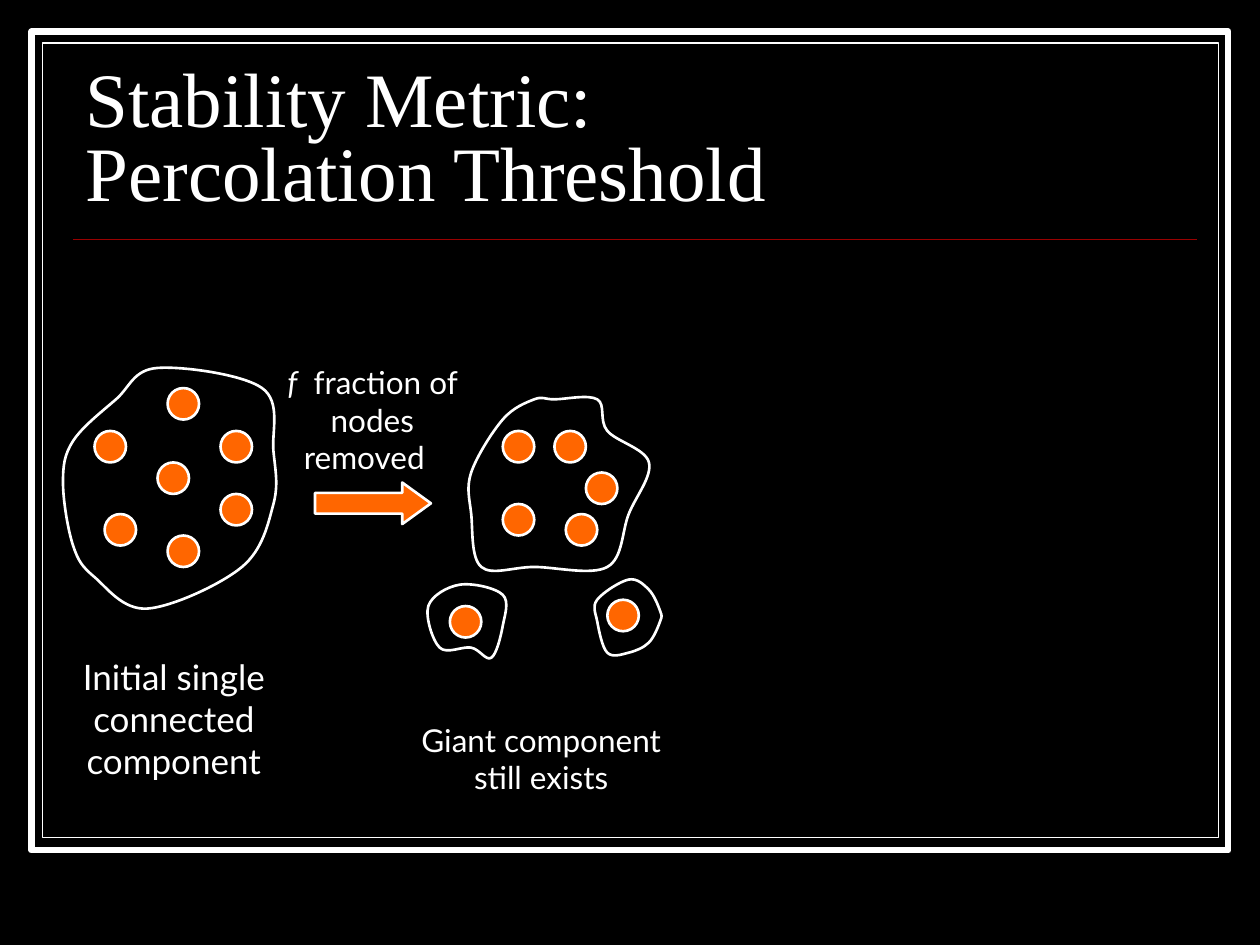
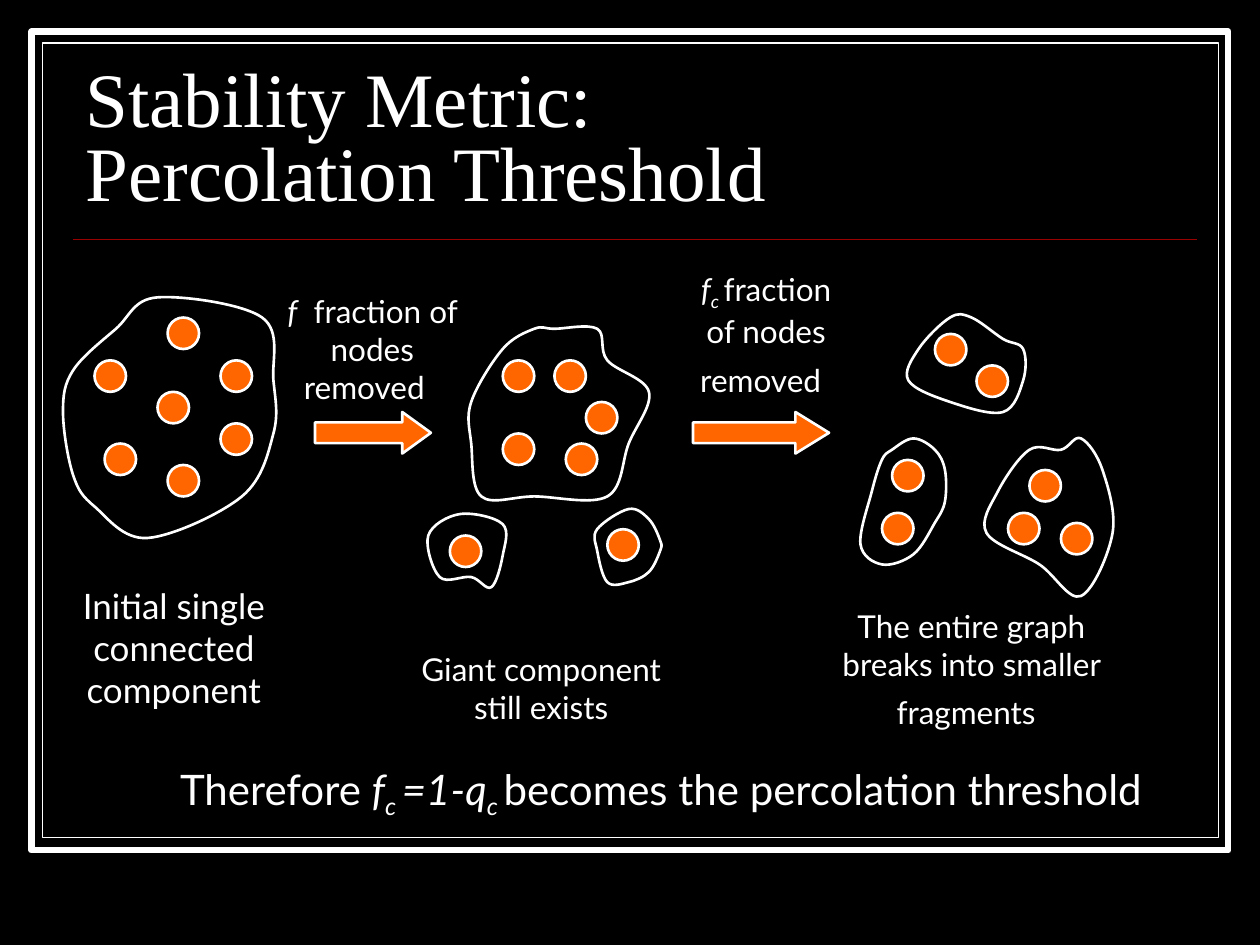
import pptx
import pptx.dml.color
import pptx.enum.shapes
import pptx.enum.text
import pptx.oxml
import pptx.oxml.ns
import pptx.util

SHAPE = pptx.enum.shapes.MSO_SHAPE
ALIGN = pptx.enum.text.PP_ALIGN
FIT = pptx.enum.text.MSO_AUTO_SIZE
PX = 9144  # 100 px to the inch

BLACK, WHITE, ORANGE, RED = "000000", "FFFFFF", "FF6600", "990000"
TITLE_FONT, BODY_FONT = "Times New Roman", "Lato"
NODE = 25
TITLE = "Stability Metric:\nPercolation Threshold"

# Each component: outline anchors, then top left corners of its nodes
INITIAL = [
    ([(92, 261), (58, 294), (50, 327), (58, 377), (75, 402), (117, 427),
      (192, 394), (217, 344), (217, 302), (208, 252), (125, 236)],
     [(175, 286), (175, 336), (133, 252), (75, 286), (133, 369), (83, 352),
      (125, 311)]),
]
GIANT = [
    ([(440, 261), (424, 261), (399, 277), (374, 319), (374, 352), (382, 394),
      (424, 394), (482, 394), (499, 352), (515, 311), (482, 286), (474, 261)],
     [(399, 286), (399, 344), (440, 286), (465, 319), (449, 352)]),
    ([(365, 408), (340, 425), (349, 458), (374, 458), (390, 466), (399, 441),
      (399, 416)],
     [(357, 425)]),
    ([(499, 404), (474, 420), (474, 437), (482, 462), (499, 462), (515, 454),
      (524, 437), (524, 429), (515, 412)],
     [(482, 420)]),
]
FRAGMENTS = [
    ([(771, 252), (754, 252), (729, 277), (721, 302), (754, 319), (796, 327),
      (812, 302), (812, 277), (796, 269)],
     [(775, 290), (742, 265)]),
    ([(708, 357), (700, 365), (692, 390), (683, 432), (700, 448), (725, 440),
      (742, 415), (750, 398), (750, 373), (742, 357), (725, 348)],
     [(708, 365), (700, 407)]),
    ([(817, 357), (792, 390), (783, 423), (825, 448), (858, 473), (883, 423),
      (875, 373), (858, 348), (842, 357)],
     [(817, 373), (800, 407), (842, 415)]),
]


def color(hex_text):
    return pptx.dml.color.RGBColor.from_string(hex_text)


def smooth_points(anchors):
    """Bezier points of a closed Catmull-Rom curve, three per segment."""
    points = []
    for i, start in enumerate(anchors):
        before = anchors[i - 1]
        end, after = (anchors[(i + k) % len(anchors)] for k in (1, 2))
        points.append([s + (e - b) / 6 for b, s, e in zip(before, start, end)])
        points.append([e - (a - s) / 6 for s, e, a in zip(start, end, after)])
        points.append(end)
    return points


class Sketch:
    """Holds the style, the deck and the current page."""

    def __init__(self):
        self.deck = pptx.Presentation()
        self.deck.slide_width, self.deck.slide_height = 1000 * PX, 750 * PX
        fill = self.deck.slide_master.background.fill
        fill.solid()
        fill.fore_color.rgb = color(BLACK)
        self.layout = self.deck.slide_layouts[5]
        for holder in list(self.layout.placeholders)[1:]:
            self.layout.shapes.element.remove(holder.element)
        self.page, self.shift = None, 0

    def new_page(self, title, shift=0):
        """Start a page; shift moves its diagram down."""
        self.page, self.shift = self.deck.slides.add_slide(self.layout), shift
        box = self.page.shapes.title
        box.left, box.top, box.width, box.height = (
            v * PX for v in (58, 52, 892, 125))
        frame = box.text_frame
        frame.auto_size = FIT.NONE
        frame.vertical_anchor = pptx.enum.text.MSO_ANCHOR.BOTTOM
        para = frame.paragraphs[0]
        para.text = title
        para.alignment, para.line_spacing = ALIGN.LEFT, 0.8
        self.font(para, TITLE_FONT, 44)

    def font(self, para, name, size):
        para.font.name, para.font.size = name, pptx.util.Pt(size)
        para.font.color.rgb = color(WHITE)

    def paint(self, shape, fill, width=1.5):
        shape.shadow.inherit = False
        shape.fill.solid()
        shape.fill.fore_color.rgb = color(fill)
        shape.line.color.rgb = color(WHITE)
        shape.line.width = pptx.util.Pt(width)
        return shape

    def shape(self, kind, left, top, width, height, fill, line=1.5):
        box = self.page.shapes.add_shape(
            kind, left * PX, (top + self.shift) * PX, width * PX, height * PX)
        return self.paint(box, fill, line)

    def rule(self, left, top, right):
        line = self.page.shapes.add_connector(
            pptx.enum.shapes.MSO_CONNECTOR.STRAIGHT,
            left * PX, top * PX, right * PX, top * PX)
        line.line.color.rgb = color(RED)
        line.line.width = pptx.util.Pt(1)
        line.element.spPr.append(pptx.oxml.parse_xml(
            "<a:effectLst %s/>" % pptx.oxml.ns.nsdecls("a")))
        return line

    def share(self, *parts):
        """Move parts from the page to the layout behind every page."""
        for part in parts:
            self.layout.shapes.element.append(part.element)

    def outline(self, anchors):
        moved = [(x * PX, (y + self.shift) * PX) for x, y in anchors]
        builder = self.page.shapes.build_freeform(*moved[0], scale=1.0)
        builder.add_line_segments(smooth_points(moved), close=True)
        shape = self.paint(builder.convert_to_shape(), BLACK)
        # Join each three line points into one curve
        qn = pptx.oxml.ns.qn
        steps = list(shape.element.iter(qn("a:lnTo")))
        for i in range(0, len(steps), 3):
            curve = pptx.oxml.parse_xml(
                "<a:cubicBezTo %s/>" % pptx.oxml.ns.nsdecls("a"))
            steps[i].addprevious(curve)
            for step in steps[i:i + 3]:
                curve.append(step[0])
                step.getparent().remove(step)

    def components(self, parts):
        for anchors, nodes in parts:
            self.outline(anchors)
            for left, top in nodes:
                self.shape(SHAPE.OVAL, left, top, NODE, NODE, ORANGE)

    def arrow(self, left, width, head):
        arrow = self.shape(SHAPE.RIGHT_ARROW, left, 327, width, 33, ORANGE)
        arrow.adjustments[1] = head

    def text(self, left, top, width, height, size, before, *spans):
        """Each span is a text and a style: italic, sub or tall."""
        box = self.page.shapes.add_textbox(
            left * PX, (top + self.shift) * PX, width * PX, height * PX)
        frame = box.text_frame
        frame.word_wrap, frame.auto_size = True, FIT.SHAPE_TO_FIT_TEXT
        para = frame.paragraphs[0]
        para.alignment = ALIGN.CENTER
        para.space_before = pptx.util.Pt(before)
        self.font(para, BODY_FONT, size)
        for words, style in spans:
            span = para.add_run()
            span.text = words
            if style in ("italic", "sub"):
                span.font.italic = True
            if style == "sub":
                span._r.get_or_add_rPr().set("baseline", "-25000")
            if style == "tall":
                span.font.size = pptx.util.Pt(24)


def draw_first_stages(sketch):
    sketch.components(INITIAL)
    sketch.arrow(250, 92, 0.69)
    sketch.components(GIANT)
    sketch.text(17, 459, 242, 110, 20, 12.5,
                ("Initial single connected component", ""))
    sketch.text(208, 227, 175, 100, 18, 11.2,
                ("f", "italic"), ("  fraction of nodes removed  ", ""))
    sketch.text(317, 511, 225, 70, 18, 11.2,
                ("Giant component still exists", ""))


def draw_last_stage(sketch):
    sketch.arrow(550, 108, 0.81)
    sketch.components(FRAGMENTS)
    sketch.text(533, 209, 150, 114, 18, 15, ("f", "italic"), ("c ", "sub"),
                ("fraction of nodes removed", ""), (" ", "tall"))
    sketch.text(650, 477, 242, 110, 18, 15,
                ("The entire graph breaks into smaller fragments", ""),
                (" ", "tall"))
    sketch.text(105, 601, 839, 96, 24, 15, ("Therefore ", ""),
                ("f", "italic"), ("c ", "sub"), ("=1-q", "italic"),
                ("c ", "sub"), ("becomes the percolation threshold", ""))


def main():
    sketch = Sketch()

    # Giant component survives
    sketch.new_page(TITLE)
    sketch.share(sketch.shape(SHAPE.RECTANGLE, 25, 25, 950, 650, BLACK, 3.5),
                 sketch.shape(SHAPE.RECTANGLE, 34, 34, 933, 631, BLACK, 0.75),
                 sketch.rule(58, 190, 950))
    sketch.shift = 56
    draw_first_stages(sketch)

    # Graph breaks into fragments
    sketch.new_page(TITLE)
    draw_first_stages(sketch)
    draw_last_stage(sketch)

    sketch.deck.save("out.pptx")


if __name__ == "__main__":
    main()
